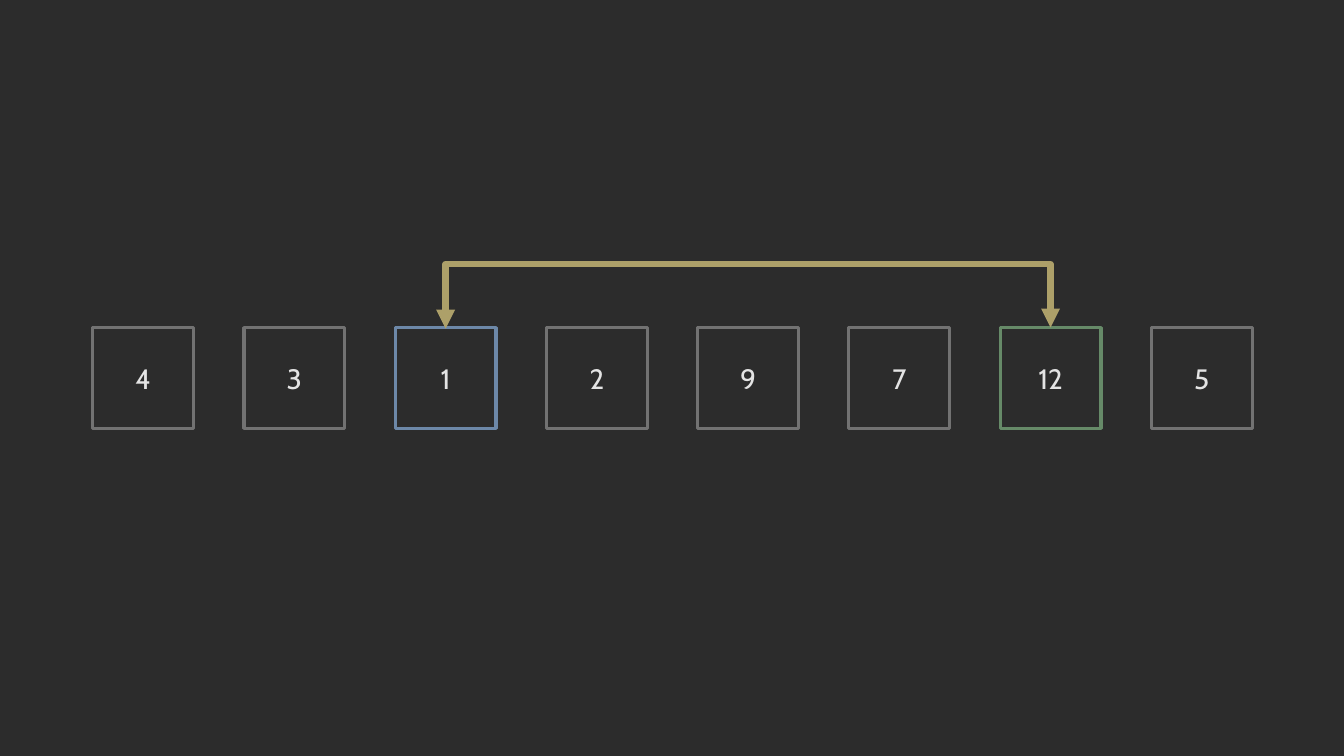
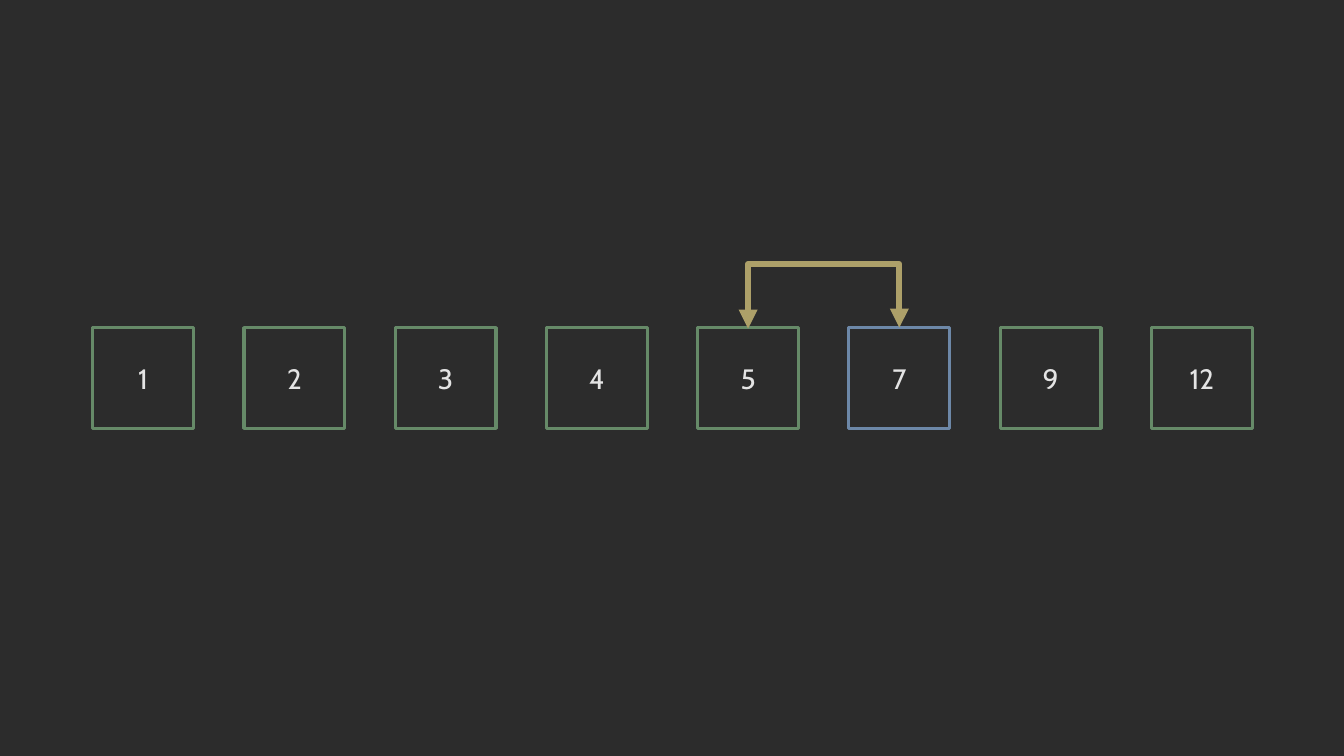
from pptx import Presentation
from pptx.dml.color import RGBColor
from pptx.enum.shapes import MSO_CONNECTOR as Connector, MSO_SHAPE as Shape
from pptx.enum.text import MSO_ANCHOR as Anchor, PP_ALIGN as Align
from pptx.oxml.ns import qn
from pptx.util import Inches, Pt
from lxml.etree import SubElement

# Shared colours
BACKGROUND = "2C2C2C"
TEXT = "E4E4E4"
UNSORTED = "727272"
CURRENT = "6D88A8"
MARKED = "668A68"
ARROW = "ADA069"

# Shared text style
NUMBER_FONT = {"name": "Cabin", "size": Pt(20)}

# Row of cells, in inches
CELL = 1
PITCH = 1.5
ROW_LEFT = 0.92
ROW_TOP = 3.25

# Swap arrow, in inches: the left tip sits slightly below the right one
ARROW_RISE = 0.65
TIP_DROP = 0.01

# Each step: numbers, usual cell colour, special cell colours, swapped cells
STEPS = [
    ([4, 3, 1, 2, 9, 7, 12, 5], UNSORTED, {2: CURRENT, 6: MARKED}, (2, 6)),
    ([1, 2, 3, 4, 5, 7, 9, 12], MARKED, {5: CURRENT}, (4, 5)),
]


def set_color(target, color):
    target.rgb = RGBColor.from_string(color)


def set_line(line, color, width):
    set_color(line.color, color)
    line.width = Pt(width)


def cell_left(index):
    return ROW_LEFT + index * PITCH


def add_cell(slide, index, number, color):
    """Draw one outlined cell with its number."""
    cell = slide.shapes.add_shape(
        Shape.RECTANGLE, Inches(cell_left(index)), Inches(ROW_TOP),
        Inches(CELL), Inches(CELL))
    cell.shadow.inherit = False
    cell.fill.background()
    set_line(cell.line, color, 2.25)

    frame = cell.text_frame
    frame.vertical_anchor = Anchor.MIDDLE
    para = frame.paragraphs[0]
    para.alignment = Align.CENTER
    span = para.add_run()
    span.text = str(number)
    for name, value in NUMBER_FONT.items():
        setattr(span.font, name, value)
    set_color(span.font.color, TEXT)


def add_swap_arrow(slide, first, second):
    """Draw a two-headed elbow arrow over the row between two cells."""
    middle_x = (cell_left(first) + cell_left(second) + CELL) / 2
    middle_y = ROW_TOP + TIP_DROP / 2
    half_span = (second - first) * PITCH / 2
    half_drop = TIP_DROP / 2

    # The elbow is laid out upright, then turned a quarter clockwise
    arrow = slide.shapes.add_connector(
        Connector.ELBOW,
        Inches(middle_x + half_drop), Inches(middle_y + half_span),
        Inches(middle_x - half_drop), Inches(middle_y - half_span))
    set_line(arrow.line, ARROW, 4.5)

    properties = arrow._element.spPr
    properties.find(qn("a:xfrm")).set("rot", str(90 * 60000))
    guides = properties.find(qn("a:prstGeom")).find(qn("a:avLst"))
    bend = round(ARROW_RISE / TIP_DROP * 100000)
    SubElement(guides, qn("a:gd"), name="adj1", fmla=f"val {bend}")
    line = properties.find(qn("a:ln"))
    for end in ("a:headEnd", "a:tailEnd"):
        SubElement(line, qn(end), type="triangle")
    SubElement(properties, qn("a:effectLst"))


def add_step(deck, numbers, usual_color, special_colors, swapped):
    """Add a slide that shows one step of the sort."""
    slide = deck.slides.add_slide(deck.slide_layouts[6])
    for index, number in enumerate(numbers):
        add_cell(slide, index, number, special_colors.get(index, usual_color))
    add_swap_arrow(slide, *swapped)


def main():
    deck = Presentation()
    deck.slide_width = Inches(13.33)
    deck.slide_height = Inches(7.5)

    # The master gives every slide its background
    fill = deck.slide_master.background.fill
    fill.solid()
    set_color(fill.fore_color, BACKGROUND)

    for step in STEPS:
        add_step(deck, *step)
    deck.save("out.pptx")


if __name__ == "__main__":
    main()
